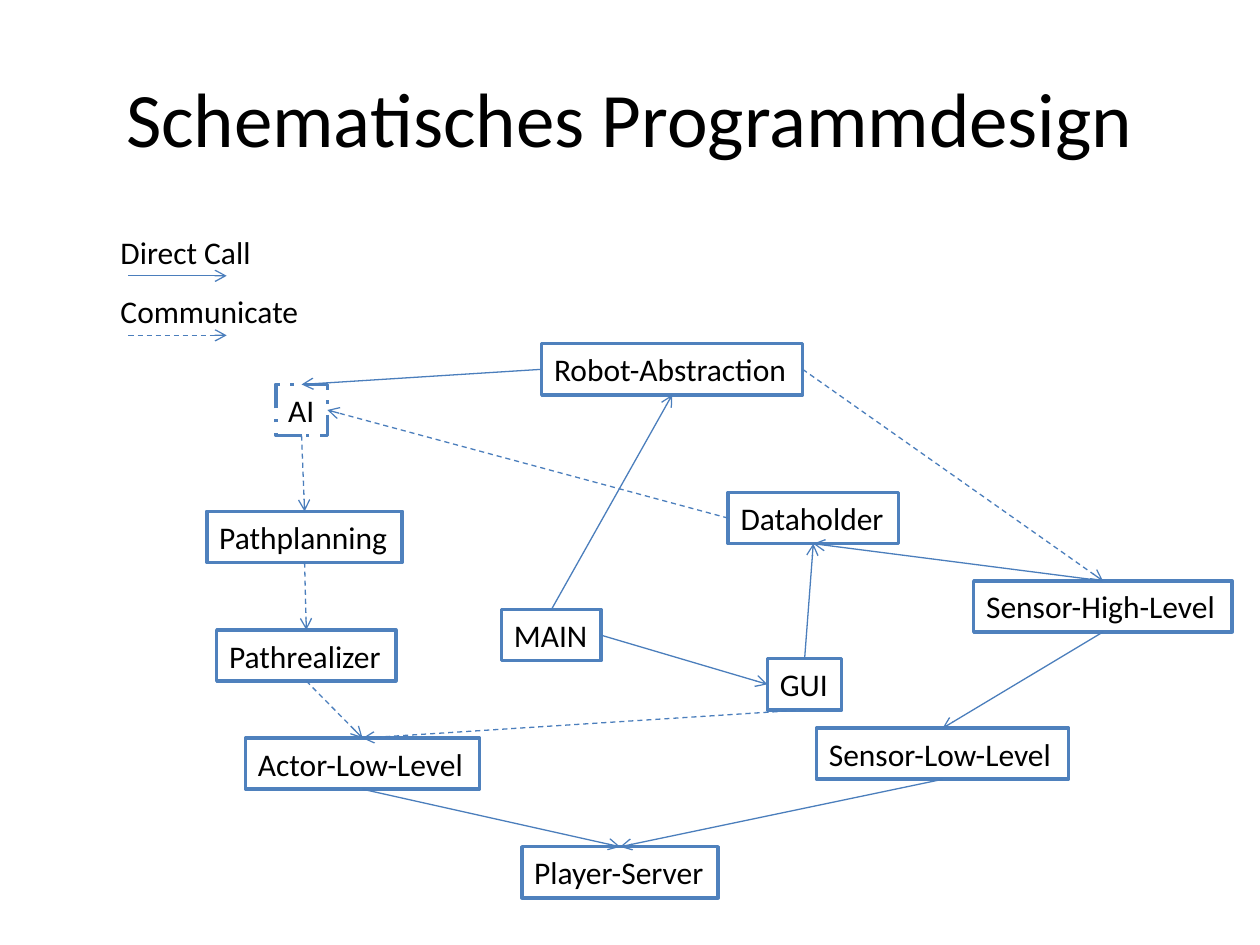
from pptx import Presentation
from pptx.dml.color import RGBColor
from pptx.enum import dml, shapes, text
from pptx.oxml import parse_xml
from pptx.oxml.ns import nsdecls, qn
from pptx.util import Cm, Pt

BLACK = RGBColor(0x00, 0x00, 0x00)
WHITE = RGBColor(0xFF, 0xFF, 0xFF)
BORDER = RGBColor(0x4F, 0x81, 0xBD)
ARROW = RGBColor(0x4B, 0x7E, 0xBC)
ROW_HEIGHT = Cm(1.03)
TOP, LEFT, BOTTOM, RIGHT = range(4)


def write(shape, wording, size=18, align=text.PP_ALIGN.LEFT):
    """Put one formatted line of text into a shape."""
    frame = shape.text_frame
    frame.text = wording
    paragraph = frame.paragraphs[0]
    paragraph.alignment = align
    font = paragraph.runs[0].font
    font.name, font.size, font.color.rgb = "Calibri", Pt(size), BLACK
    frame.word_wrap = False
    frame.auto_size = text.MSO_AUTO_SIZE.SHAPE_TO_FIT_TEXT


def add_arrow(x1, y1, x2, y2, dashed):
    """Draw a thin open-headed arrow and return it."""
    arrow = slide.shapes.add_connector(shapes.MSO_CONNECTOR.STRAIGHT, x1, y1, x2, y2)
    arrow.line.color.rgb = ARROW
    arrow.line.width = Pt(0.75)
    if dashed:
        arrow.line.dash_style = dml.MSO_LINE.DASH
    properties = arrow._element.spPr
    head = parse_xml(f'<a:tailEnd {nsdecls("a")} type="arrow"/>')
    properties.find(qn("a:ln")).append(head)
    properties.append(parse_xml(f'<a:effectLst {nsdecls("a")}/>'))
    return arrow


deck = Presentation()
deck.slide_width, deck.slide_height = Cm(25.4), Cm(19.05)
slide = deck.slides.add_slide(deck.slide_layouts[6])

title = slide.shapes.add_textbox(Cm(1.27), Cm(0.76), Cm(22.86), Cm(3.18))
write(title, "Schematisches Programmdesign", 44, text.PP_ALIGN.CENTER)
title.text_frame.word_wrap = True
title.text_frame.auto_size = text.MSO_AUTO_SIZE.NONE
title.text_frame.vertical_anchor = text.MSO_ANCHOR.MIDDLE

# Module name: left, top, width in centimetres
MODULES = {
    "Player-Server": (10.52, 17.07, 3.96),
    "GUI": (15.47, 13.28, 1.5),
    "Robot-Abstraction": (10.92, 6.93, 5.26),
    "Sensor-Low-Level": (16.46, 14.68, 5.08),
    "Sensor-High-Level": (19.63, 11.71, 5.21),
    "Actor-Low-Level": (4.95, 14.88, 4.72),
    "Pathrealizer": (4.37, 12.7, 3.61),
    "Pathplanning": (4.17, 10.31, 3.94),
    "AI": (5.56, 7.75, 1.04),
    "Dataholder": (14.68, 9.93, 3.43),
    "MAIN": (10.11, 12.29, 2.01),
}
modules = {}
for name, (left, top, width) in MODULES.items():
    module = slide.shapes.add_shape(
        shapes.MSO_SHAPE.RECTANGLE, Cm(left), Cm(top), Cm(width), ROW_HEIGHT)
    module.shadow.inherit = False
    module.fill.solid()
    module.fill.fore_color.rgb = WHITE
    module.line.color.rgb = BORDER
    module.line.width = Pt(2)
    write(module, name)
    modules[name] = module
modules["AI"].line.dash_style = dml.MSO_LINE.LONG_DASH_DOT

# Caller, side, callee, side, dashed
LINKS = [
    ("MAIN", TOP, "Robot-Abstraction", BOTTOM, False),
    ("MAIN", RIGHT, "GUI", LEFT, False),
    ("Robot-Abstraction", LEFT, "AI", TOP, False),
    ("Robot-Abstraction", RIGHT, "Sensor-High-Level", TOP, True),
    ("Sensor-High-Level", BOTTOM, "Sensor-Low-Level", TOP, False),
    ("Pathplanning", BOTTOM, "Pathrealizer", TOP, True),
    ("Pathrealizer", BOTTOM, "Actor-Low-Level", TOP, True),
    ("Actor-Low-Level", BOTTOM, "Player-Server", TOP, False),
    ("Sensor-Low-Level", BOTTOM, "Player-Server", TOP, False),
    ("GUI", TOP, "Dataholder", BOTTOM, False),
    ("GUI", BOTTOM, "Actor-Low-Level", TOP, True),
    ("Sensor-High-Level", TOP, "Dataholder", BOTTOM, False),
    ("AI", BOTTOM, "Pathplanning", TOP, True),
    ("Dataholder", LEFT, "AI", RIGHT, True),
]
for caller, start, callee, end, dashed in LINKS:
    link = add_arrow(0, 0, 0, 0, dashed)
    link.begin_connect(modules[caller], start)
    link.end_connect(modules[callee], end)

LEGEND = [("Direct Call", 4.57, 3.18, False), ("Communicate", 5.77, 4.14, True)]
for meaning, top, width, dashed in LEGEND:
    arrow_y = Cm(top + 0.99)
    add_arrow(Cm(2.59), arrow_y, Cm(4.57), arrow_y, dashed)
    label = slide.shapes.add_textbox(Cm(2.18), Cm(top), Cm(width), ROW_HEIGHT)
    write(label, meaning)

deck.save("out.pptx")
